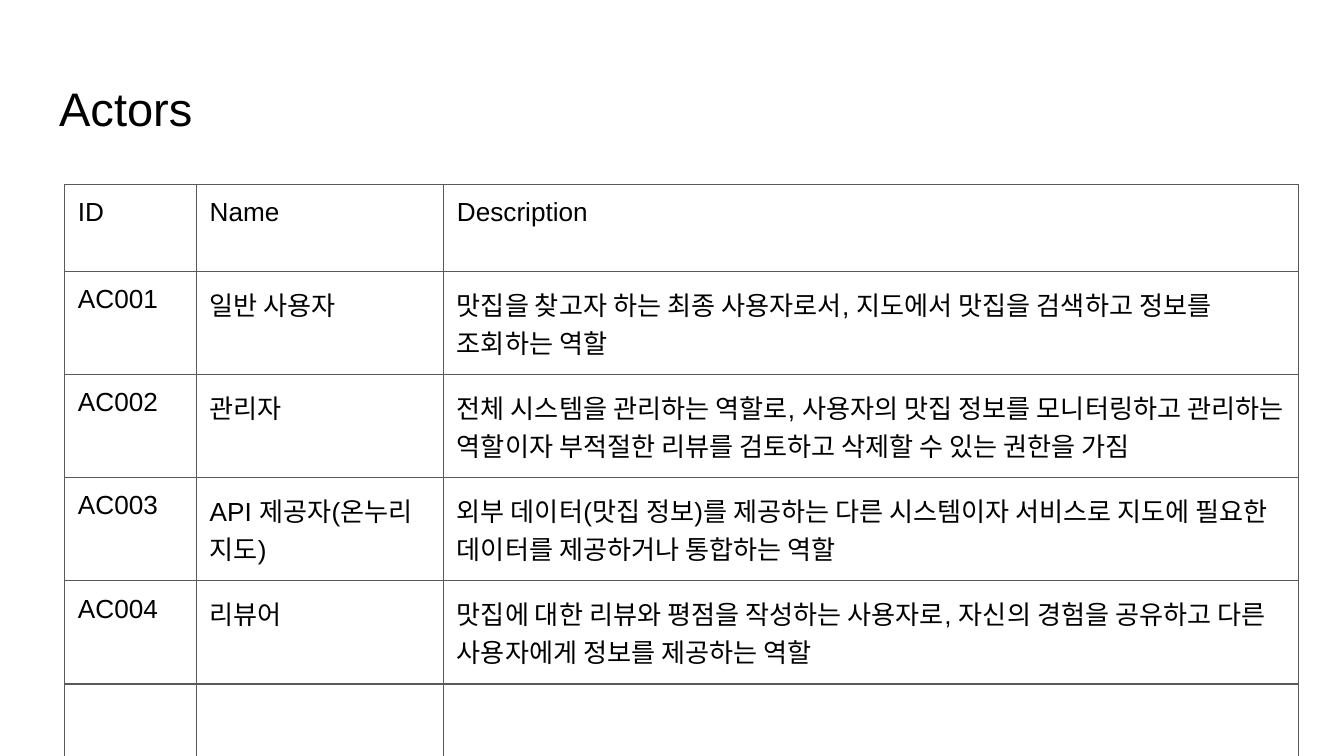
from dataclasses import dataclass

from lxml.etree import SubElement
from pptx import Presentation
from pptx.dml.color import RGBColor
from pptx.enum.text import MSO_ANCHOR, MSO_AUTO_SIZE, PP_ALIGN
from pptx.oxml.ns import qn
from pptx.util import Inches, Pt


@dataclass(frozen=True)
class Theme:
    font: str = "Arial"
    ink: RGBColor = RGBColor(0, 0, 0)
    border: str = "595959"
    border_width: int = Pt(0.75)
    title_size: int = Pt(25.2)
    body_size: int = Pt(14)
    inset: int = Inches(0.1)


THEME = Theme()
WIDTH = Inches(10)
HEIGHT = WIDTH * 9 // 16
COLUMN_WIDTHS = (Inches(0.98), Inches(1.84), Inches(6.36))
ROW_HEIGHT = Inches(0.65)
ACTORS = [
    ("ID", "Name", "Description"),
    ("AC001", "일반 사용자",
     "맛집을 찾고자 하는 최종 사용자로서, 지도에서 맛집을 검색하고 정보를 조회하는 역할"),
    ("AC002", "관리자",
     "전체 시스템을 관리하는 역할로, 사용자의 맛집 정보를 모니터링하고 "
     "관리하는 역할이자 부적절한 리뷰를 검토하고 삭제할 수 있는 권한을 가짐"),
    ("AC003", "API 제공자(온누리 지도)",
     "외부 데이터(맛집 정보)를 제공하는 다른 시스템이자 서비스로 지도에 "
     "필요한 데이터를 제공하거나 통합하는 역할"),
    ("AC004", "리뷰어",
     "맛집에 대한 리뷰와 평점을 작성하는 사용자로, 자신의 경험을 공유하고 다른 "
     "사용자에게 정보를 제공하는 역할"),
    ("", "", ""),
]


def style_paragraph(p, size):
    p.alignment = PP_ALIGN.LEFT
    p.font.name = THEME.font
    p.font.size = size
    p.font.color.rgb = THEME.ink


def set_insets(box):
    box.margin_left = box.margin_right = THEME.inset
    box.margin_top = box.margin_bottom = THEME.inset


def add_borders(cell):
    # Borders must come before the fill in the cell properties
    tc_pr = cell._tc.get_or_add_tcPr()
    for side in ("a:lnL", "a:lnR", "a:lnT", "a:lnB"):
        ln = SubElement(tc_pr, qn(side), w=str(THEME.border_width))
        fill = SubElement(ln, qn("a:solidFill"))
        SubElement(fill, qn("a:srgbClr"), val=THEME.border)


def place_title(s, text, left, top, width, height):
    sp = s.shapes.title
    sp.left, sp.top, sp.width, sp.height = left, top, width, height
    tf = sp.text_frame
    tf.text = text
    tf.word_wrap = True
    tf.auto_size = MSO_AUTO_SIZE.NONE
    tf.vertical_anchor = MSO_ANCHOR.TOP
    set_insets(tf)
    style_paragraph(tf.paragraphs[0], THEME.title_size)


def place_table(s, rows, left, top):
    table = s.shapes.add_table(len(rows), len(COLUMN_WIDTHS), left, top,
                               sum(COLUMN_WIDTHS),
                               ROW_HEIGHT * len(rows)).table
    table.first_row = table.horz_banding = False
    for column, width in zip(table.columns, COLUMN_WIDTHS):
        column.width = width
    for r, row in enumerate(rows):
        for c, text in enumerate(row):
            cell = table.cell(r, c)
            cell.text = text
            set_insets(cell)
            cell.vertical_anchor = MSO_ANCHOR.TOP
            add_borders(cell)
            cell.fill.background()
            style_paragraph(cell.text_frame.paragraphs[0], THEME.body_size)


def main():
    prs = Presentation()
    prs.slide_width, prs.slide_height = WIDTH, HEIGHT
    s = prs.slides.add_slide(prs.slide_layouts[5])

    # Heading
    place_title(s, "Actors", Inches(0.34), Inches(0.49),
                Inches(9.32), Inches(0.63))

    # Actor list, running past the lower edge
    place_table(s, ACTORS, Inches(0.48), Inches(1.37))
    prs.save("out.pptx")


if __name__ == "__main__":
    main()
